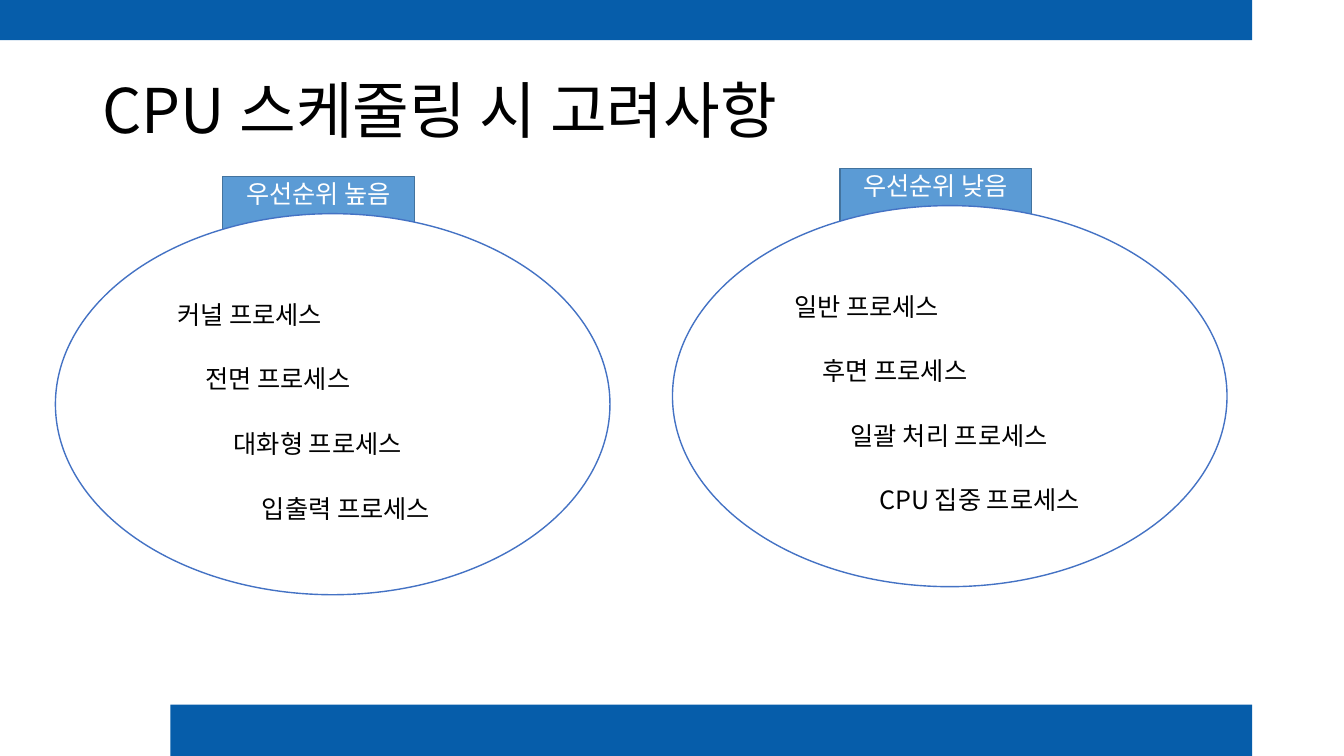
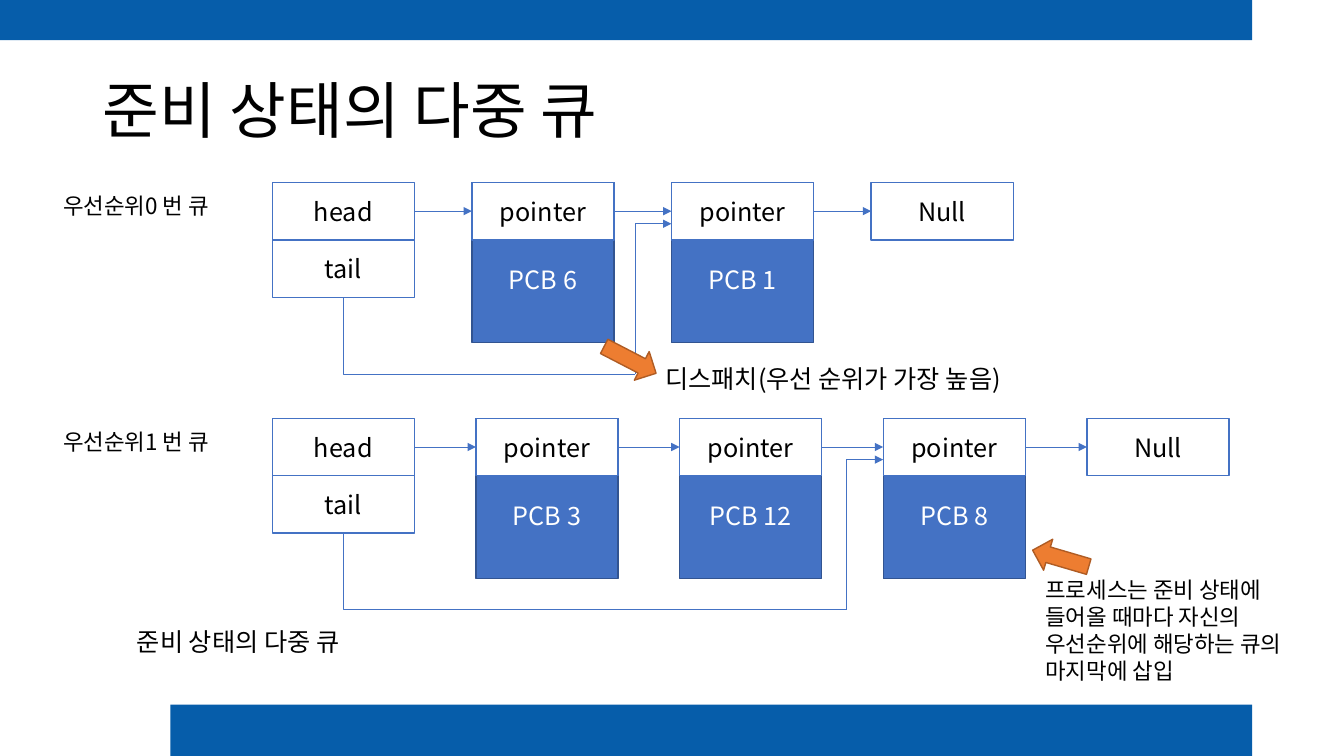
from lxml.etree import SubElement
from pptx import Presentation
from pptx.dml.color import RGBColor
from pptx.enum.shapes import MSO_CONNECTOR as Wire, MSO_SHAPE as Form
from pptx.enum.text import MSO_ANCHOR as Anchor, PP_ALIGN as Align
from pptx.oxml.ns import qn
from pptx.util import Inches, Pt

FONT = "Noto Sans CJK KR"
BLACK = RGBColor(0x00, 0x00, 0x00)
WHITE = RGBColor(0xFF, 0xFF, 0xFF)
BAND = RGBColor(0x06, 0x5D, 0xAA)
BLUE = RGBColor(0x44, 0x72, 0xC4)
NAVY = RGBColor(0x32, 0x54, 0x91)
SKY = RGBColor(0x5B, 0x9B, 0xD5)
STEEL = RGBColor(0x43, 0x73, 0x9E)
ORANGE = RGBColor(0xED, 0x7D, 0x31)
RUST = RGBColor(0xAF, 0x5C, 0x24)


def write(shape, words, size=18, color=BLACK, align=Align.LEFT):
    frame = shape.text_frame
    frame.word_wrap = True
    frame.text = words
    para = frame.paragraphs[0]
    para.alignment = align
    para.font.size = Pt(size)
    para.font.color.rgb = color
    para.font.name = FONT
    SubElement(para._p.pPr.find(qn("a:defRPr")), qn("a:ea"), typeface=FONT)
    return frame


def draw(slide, form, x, y, w, h, fill, line=None):
    shape = slide.shapes.add_shape(form, Inches(x), Inches(y), Inches(w), Inches(h))
    shape.shadow.inherit = False
    shape.fill.solid()
    shape.fill.fore_color.rgb = fill
    if line is None:
        shape.line.fill.background()
    else:
        shape.line.color.rgb = line
        shape.line.width = Pt(1)
    return shape


deck = Presentation()
WIDE, HIGH, EDGE = 13.33, 7.5, 12.42
deck.slide_width, deck.slide_height = Inches(WIDE), Inches(HIGH)

pages = []
for title in ("CPU 스케줄링 시 고려사항", "준비 상태의 다중 큐"):
    page = deck.slides.add_slide(deck.slide_layouts[6])
    draw(page, Form.RECTANGLE, 1.69, 6.99, EDGE - 1.69, HIGH - 6.99, BAND)
    draw(page, Form.RECTANGLE, 0, 0, EDGE, 0.4, BAND)
    head = page.shapes.add_textbox(Inches(0.92), Inches(0.4), Inches(11.5), Inches(1.45))
    frame = write(head, title, 44)
    frame.vertical_anchor = Anchor.MIDDLE
    frame.paragraphs[0].line_spacing = 0.9
    pages.append(page)
rules, queues = pages

sets = (
    (0.55, 2.12, "우선순위 높음",
     ("커널 프로세스", "전면 프로세스", "대화형 프로세스", "입출력 프로세스")),
    (6.67, 2.04, "우선순위 낮음",
     ("일반 프로세스", "후면 프로세스", "일괄 처리 프로세스", "CPU 집중 프로세스")),
)
for x, y, name, items in sets:
    tag = draw(rules, Form.RECTANGLE, x + 1.66, y - 0.37, 1.9, 0.72, SKY, STEEL)
    frame = write(tag, name, color=WHITE, align=Align.CENTER)
    frame.vertical_anchor = Anchor.TOP
    frame.margin_top = Inches(0.02)
    draw(rules, Form.OVAL, x, y, 5.5, 3.78, WHITE, BLUE)
    for i, item in enumerate(items):
        left, top = x + 1.11 + 0.28 * i, y + 0.8 + 0.64 * i
        note = rules.shapes.add_textbox(Inches(left), Inches(top), Inches(2.54), Inches(0.4))
        write(note, item)

START, CELL, ROW, TALL = 2.7, 1.41, 0.57, 1.59
rows = (
    (1.81, 1.98, ("PCB 6", "PCB 1")),
    (4.15, 2.02, ("PCB 3", "PCB 12", "PCB 8")),
)
for y, step, names in rows:
    chain = []
    labels = ("head",) + ("pointer",) * len(names) + ("Null",)
    cells = [(START + step * i, y, label) for i, label in enumerate(labels)]
    cells.append((START, y + ROW, "tail"))
    for i, name in enumerate(names, 1):
        block = draw(queues, Form.RECTANGLE, START + step * i, y, CELL, TALL, BLUE, NAVY)
        frame = write(block, name, color=WHITE, align=Align.CENTER)
        frame.vertical_anchor = Anchor.MIDDLE
        frame.margin_top = Inches(0.38)
    for x, top, label in cells:
        cell = draw(queues, Form.RECTANGLE, x, top, CELL, ROW, WHITE, BLUE)
        write(cell, label, align=Align.CENTER).vertical_anchor = Anchor.MIDDLE
        chain.append(cell)
    tail = chain.pop()

    wires = []
    for a, b in zip(chain, chain[1:]):
        wire = queues.shapes.add_connector(Wire.STRAIGHT, 0, 0, 0, 0)
        wire.begin_connect(a, 3)
        wire.end_connect(b, 1)
        wires.append((wire, "a:tailEnd"))
    last = START + step * len(names)
    bend, floor = last - 0.36, y + 1.9
    elbows = (
        (bend, floor, START + CELL / 2, y + 2 * ROW, None),
        (last, y + 0.41, bend, floor, "a:headEnd"),
    )
    for *ends, tip in elbows:
        wire = queues.shapes.add_connector(Wire.ELBOW, *map(Inches, ends))
        wire._element.spPr.find(qn("a:prstGeom")).set("prst", "bentConnector2")
        wires.append((wire, tip))
    for wire, tip in wires:
        wire.line.color.rgb = BLUE
        wire.line.width = Pt(0.5)
        if tip:
            SubElement(wire.line._get_or_add_ln(), qn(tip), type="triangle")
        SubElement(wire._element.spPr, qn("a:effectLst"))

for x, y, turn in ((5.96, 3.41, 27.4), (10.23, 5.38, 196.3)):
    draw(queues, Form.RIGHT_ARROW, x, y, 0.58, 0.32, ORANGE, RUST).rotation = turn

notes = (
    (0.53, 1.86, 1.97, 0.37, 16, "우선순위0 번 큐"),
    (0.53, 4.2, 1.97, 0.37, 16, "우선순위1 번 큐"),
    (6.5, 3.56, 4.03, 0.4, 18, "디스패치(우선 순위가 가장 높음)"),
    (10.27, 5.67, 2.95, 1.45, 16,
     "프로세스는 준비 상태에 들어올 때마다 자신의 우선순위에 해당하는 큐의 마지막에 삽입"),
    (1.26, 6.16, 5.4, 0.4, 18, "준비 상태의 다중 큐"),
)
for *area, size, words in notes:
    write(queues.shapes.add_textbox(*map(Inches, area)), words, size)

deck.save("out.pptx")
